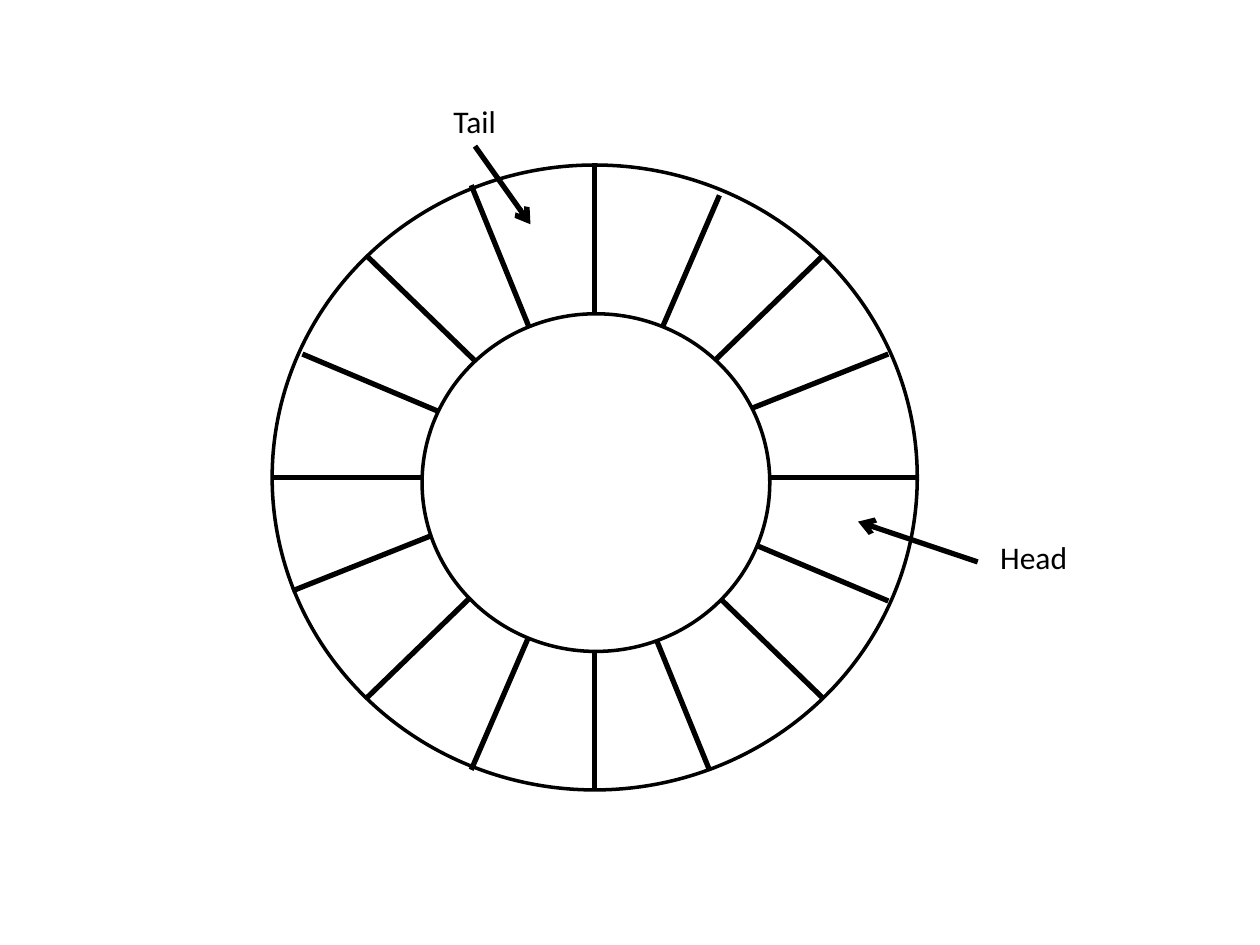
from typing import NamedTuple

from lxml.etree import SubElement
from pptx import Presentation
from pptx.dml.color import RGBColor
from pptx.enum.shapes import MSO_CONNECTOR, MSO_SHAPE
from pptx.enum.text import MSO_AUTO_SIZE
from pptx.oxml.ns import qn
from pptx.slide import Slide
from pptx.util import Inches, Pt

BLACK = RGBColor(0, 0, 0)
WHITE = RGBColor(255, 255, 255)


class Line(NamedTuple):
    x1: float
    y1: float
    x2: float
    y2: float


class Round(NamedTuple):
    kind: MSO_SHAPE
    left: float
    top: float
    width: float
    height: float


class Pointer(NamedTuple):
    text: str
    left: float
    top: float
    width: float
    arrow: Line


RING = Round(MSO_SHAPE.DONUT, 2.16, 1.31, 5.12, 4.96)
HUB = Round(MSO_SHAPE.OVAL, 3.35, 2.49, 2.76, 2.68)
DIVIDERS = [
    Line(2.16, 3.79, 7.28, 3.79),
    Line(4.72, 1.31, 4.72, 6.27),
    Line(6.53, 2.03, 2.91, 5.54),
    Line(2.91, 2.03, 6.53, 5.54),
    Line(5.71, 1.55, 3.74, 6.11),
    Line(7.05, 2.81, 2.32, 4.69),
    Line(7.05, 4.77, 2.4, 2.81),
    Line(3.74, 1.47, 5.63, 6.11),
]
POINTERS = [
    Pointer("Head", 7.84, 4.22, 0.73, Line(7.76, 4.46, 6.81, 4.14)),
    Pointer("Tail", 3.5, 0.76, 0.55, Line(3.77, 1.16, 4.21, 1.78)),
]


def draw_round(page: Slide, item: Round) -> None:
    """Draw a white round shape with a black outline."""
    shape = page.shapes.add_shape(
        item.kind, Inches(item.left), Inches(item.top),
        Inches(item.width), Inches(item.height))
    shape.shadow.inherit = False
    shape.fill.solid()
    shape.fill.fore_color.rgb = WHITE
    shape.line.color.rgb = BLACK
    shape.line.width = Pt(2)


def draw_line(page: Slide, line: Line, arrow: bool = False) -> None:
    """Draw a thick black line, with an open arrowhead if asked."""
    connector = page.shapes.add_connector(
        MSO_CONNECTOR.STRAIGHT, Inches(line.x1), Inches(line.y1),
        Inches(line.x2), Inches(line.y2))
    connector.line.color.rgb = BLACK
    connector.line.width = Pt(3)
    properties = connector._element.spPr
    if arrow:
        SubElement(properties.find(qn("a:ln")), qn("a:tailEnd"), type="arrow")
    SubElement(properties, qn("a:effectLst"))


def draw_pointer(page: Slide, pointer: Pointer) -> None:
    """Write a label and draw its arrow into the ring."""
    box = page.shapes.add_textbox(
        Inches(pointer.left), Inches(pointer.top),
        Inches(pointer.width), Inches(0.4))
    frame = box.text_frame
    frame.text = pointer.text
    frame.word_wrap = False
    frame.auto_size = MSO_AUTO_SIZE.SHAPE_TO_FIT_TEXT
    font = frame.paragraphs[0].runs[0].font
    font.name = "Calibri"
    font.size = Pt(18)
    font.color.rgb = BLACK
    draw_line(page, pointer.arrow, arrow=True)


def main() -> None:
    """Build the ring buffer slide."""
    deck = Presentation()
    deck.slide_width, deck.slide_height = Inches(10), Inches(7.5)
    page = deck.slides.add_slide(deck.slide_layouts[6])
    draw_round(page, RING)
    for divider in DIVIDERS:
        draw_line(page, divider)
    draw_round(page, HUB)
    for pointer in POINTERS:
        draw_pointer(page, pointer)
    deck.save("out.pptx")


if __name__ == "__main__":
    main()
